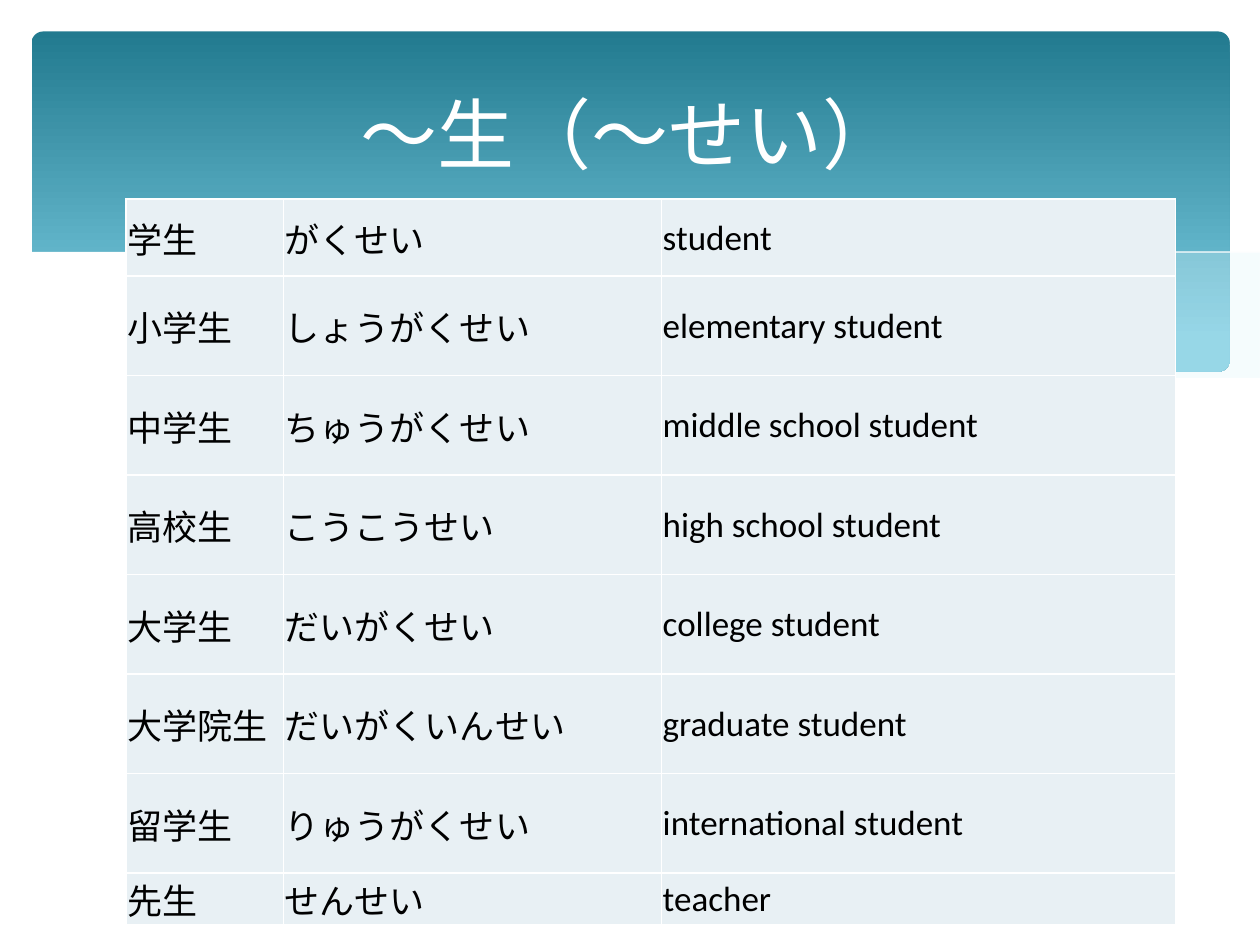
from dataclasses import dataclass
from typing import Optional

from lxml import etree
from pptx import Presentation
from pptx.dml.color import RGBColor
from pptx.enum.shapes import MSO_SHAPE
from pptx.enum.text import MSO_ANCHOR, PP_ALIGN
from pptx.oxml.ns import qn
from pptx.util import Inches, Pt

ROUNDED = MSO_SHAPE.ROUNDED_RECTANGLE
MIDDLE = MSO_ANCHOR.MIDDLE
CENTER = PP_ALIGN.CENTER


@dataclass(frozen=True)
class Theme:
    white: str = "FFFFFF"
    ink: str = "000000"
    banner_top: str = "227A8F"
    banner_bottom: str = "7ACBE0"
    mist: str = "DEF5FA"
    cell: str = "E8F0F4"
    japanese: str = "Noto Sans CJK SC"
    english: str = "Calibri"
    title_size: int = 44
    word_size: int = 20
    border_width: int = 1


@dataclass(frozen=True)
class Wave:
    points: tuple
    fill: Optional[str] = None
    opacity: int = 100


@dataclass(frozen=True)
class Word:
    kanji: str
    reading: str
    meaning: str
    height: float = 0.79


THEME = Theme()

WAVES = (
    Wave((
        (9.76, 2), (9.48, 2.04), (9.21, 2.1), (8.91, 2.16), (8.61, 2.23), (8.05, 2.37),
        (7.53, 2.48), (7.06, 2.57), (6.61, 2.65), (6.91, 2.69), (7.19, 2.72), (7.45, 2.75),
        (7.69, 2.77), (8.03, 2.78), (8.35, 2.77), (8.63, 2.75), (8.89, 2.72), (9.13, 2.67),
        (9.35, 2.62), (9.49, 2.57), (9.63, 2.52), (9.76, 2.47),
    ), THEME.mist, 29),
    Wave((
        (8.93, 2.73), (8.66, 2.69), (8.37, 2.65), (8.07, 2.6), (7.75, 2.54), (7.41, 2.47),
        (7.06, 2.4), (6.68, 2.31), (6.29, 2.22), (5.98, 2.14), (5.69, 2.08), (5.41, 2.03),
        (5.14, 1.98), (4.89, 1.94), (4.42, 1.89), (3.99, 1.86), (3.61, 1.85), (3.28, 1.87),
        (2.86, 1.91), (3.23, 1.96), (3.62, 2.03), (4.04, 2.11), (4.49, 2.22), (4.91, 2.32),
        (5.3, 2.4), (5.66, 2.48), (6.01, 2.55), (6.34, 2.61), (6.65, 2.66), (6.95, 2.7),
        (7.22, 2.74), (7.48, 2.76), (7.73, 2.77), (8.07, 2.78), (8.38, 2.78), (8.67, 2.76),
    ), THEME.mist, 40),
    Wave((
        (3.09, 1.95), (3.28, 1.92), (3.53, 1.89), (3.87, 1.87), (4.33, 1.87), (4.69, 1.89),
        (5.1, 1.92), (5.56, 1.97), (6.08, 2.04), (6.65, 2.13), (7.27, 2.26), (7.95, 2.41),
        (8.69, 2.61), (9.07, 2.72),
    )),
    Wave((
        (6.13, 2.57), (6.53, 2.46), (6.95, 2.35), (7.48, 2.23), (8.06, 2.1), (8.66, 1.99),
        (8.95, 1.94), (9.24, 1.9), (9.51, 1.87), (9.75, 1.85),
    )),
    Wave((
        (9.77, 2.46), (9.59, 2.53), (9.4, 2.59), (9.2, 2.65), (8.99, 2.69), (8.75, 2.73),
        (8.5, 2.75), (8.23, 2.77), (7.93, 2.76), (7.61, 2.75), (7.26, 2.72), (6.88, 2.68),
        (6.48, 2.62), (6.03, 2.54), (5.55, 2.45), (5.03, 2.33), (4.47, 2.2), (3.91, 2.07),
        (3.4, 1.97), (2.92, 1.9), (2.5, 1.86), (2.11, 1.84), (1.77, 1.84), (1.46, 1.85),
        (1.19, 1.87), (0.95, 1.91), (0.76, 1.95), (0.59, 1.99), (0.46, 2.03), (0.36, 2.07),
        (0.23, 2.13), (0.23, 3.29), (9.77, 3.29),
    ), THEME.white),
)

WORDS = (
    Word("学生", "がくせい", "student", 0.61),
    Word("小学生", "しょうがくせい", "elementary student"),
    Word("中学生", "ちゅうがくせい", "middle school student"),
    Word("高校生", "こうこうせい", "high school student"),
    Word("大学生", "だいがくせい", "college student"),
    Word("大学院生", "だいがくいんせい", "graduate student"),
    Word("留学生", "りゅうがくせい", "international student"),
    Word("先生", "せんせい", "teacher", 0.4),
)
COLUMN_WIDTHS = (1.25, 3, 4.08)


def rgb(color: str) -> RGBColor:
    return RGBColor.from_string(color)


def add_run(paragraph, text: str, size: int, color: str, family: str) -> None:
    run = paragraph.add_run()
    run.text = text
    run.font.size = Pt(size)
    run.font.color.rgb = rgb(color)
    run.font.name = family
    etree.SubElement(run._r.get_or_add_rPr(), qn("a:ea"), typeface=family)


def draw_banner(slide) -> None:
    banner = slide.shapes.add_shape(ROUNDED, Inches(0.25), Inches(0.25), Inches(9.51), Inches(2.7))
    banner.adjustments[0] = 0.034
    banner.shadow.inherit = False
    banner.line.fill.background()
    banner.fill.gradient()
    banner.fill.gradient_angle = 270
    top, bottom = banner.fill.gradient_stops
    top.color.rgb = rgb(THEME.banner_top)
    bottom.color.rgb = rgb(THEME.banner_bottom)
    bottom.position = 0.9


def draw_wave(slide, wave: Wave) -> None:
    builder = slide.shapes.build_freeform(*wave.points[0], scale=Inches(1))
    builder.add_line_segments(wave.points[1:], close=wave.fill is not None)
    curve = builder.convert_to_shape()
    curve.shadow.inherit = False
    if wave.fill is None:
        curve.fill.background()
        curve.line.color.rgb = rgb(THEME.white)
        curve.line.width = Pt(0)
        return
    curve.line.fill.background()
    curve.fill.solid()
    curve.fill.fore_color.rgb = rgb(wave.fill)
    if wave.opacity < 100:
        color = curve._element.spPr.find(qn("a:solidFill")).find(qn("a:srgbClr"))
        etree.SubElement(color, qn("a:alpha"), val=str(wave.opacity * 1000))


def draw_cell(cell, text: str, family: str) -> None:
    cell.margin_left = cell.margin_right = cell.margin_top = Inches(0.01)
    cell.margin_bottom = Inches(0)
    cell.vertical_anchor = MIDDLE
    properties = cell._tc.get_or_add_tcPr()
    for side in ("a:lnL", "a:lnR", "a:lnT", "a:lnB"):
        border = etree.SubElement(properties, qn(side), w=str(Pt(THEME.border_width)))
        paint = etree.SubElement(border, qn("a:solidFill"))
        etree.SubElement(paint, qn("a:srgbClr"), val=THEME.white)
    cell.fill.solid()
    cell.fill.fore_color.rgb = rgb(THEME.cell)
    add_run(cell.text_frame.paragraphs[0], text, THEME.word_size, THEME.ink, family)


def draw_vocabulary(slide) -> None:
    table = slide.shapes.add_table(
        len(WORDS), len(COLUMN_WIDTHS), Inches(1), Inches(1.58),
        Inches(sum(COLUMN_WIDTHS)), Inches(sum(word.height for word in WORDS)),
    ).table
    table.first_row = table.horz_banding = False
    for column, width in zip(table.columns, COLUMN_WIDTHS):
        column.width = Inches(width)
    for row, word in zip(table.rows, WORDS):
        row.height = Inches(word.height)
        kanji, reading, meaning = row.cells
        draw_cell(kanji, word.kanji, THEME.japanese)
        draw_cell(reading, word.reading, THEME.japanese)
        draw_cell(meaning, word.meaning, THEME.english)


def draw_title(slide) -> None:
    title = slide.shapes.add_textbox(Inches(0.5), Inches(0.37), Inches(9), Inches(1.37))
    frame = title.text_frame
    frame.word_wrap = True
    frame.vertical_anchor = MIDDLE
    paragraph = frame.paragraphs[0]
    paragraph.alignment = CENTER
    add_run(paragraph, "～生（～せい）", THEME.title_size, THEME.white, THEME.japanese)


def main() -> None:
    deck = Presentation()
    deck.slide_width, deck.slide_height = Inches(10), Inches(7.5)
    slide = deck.slides.add_slide(deck.slide_layouts[6])
    draw_banner(slide)
    for wave in WAVES:
        draw_wave(slide, wave)
    draw_vocabulary(slide)
    draw_title(slide)
    deck.save("out.pptx")


if __name__ == "__main__":
    main()
